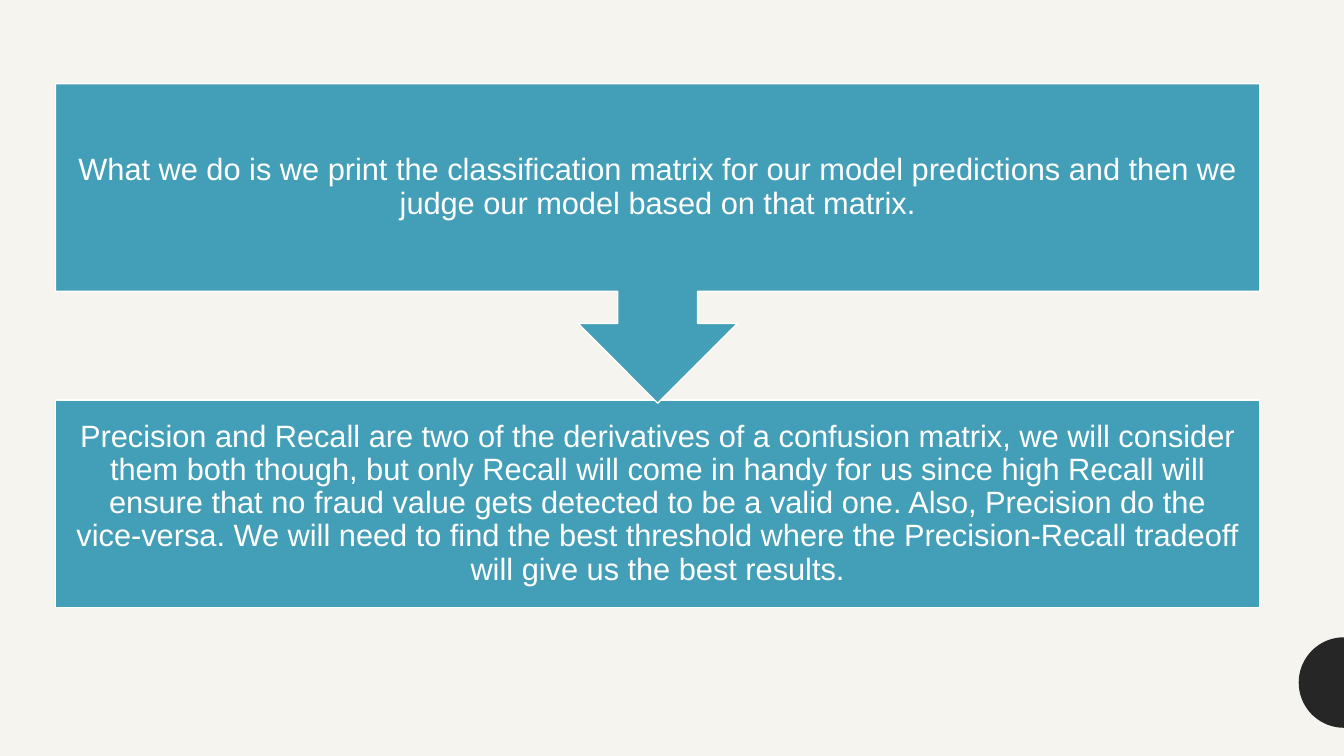
from dataclasses import dataclass
from math import cos, pi, sin

from pptx import Presentation
from pptx.dml.color import RGBColor
from pptx.enum.shapes import MSO_SHAPE as Shape
from pptx.enum.text import MSO_ANCHOR as Anchor, PP_ALIGN as Align
from pptx.util import Cm, Pt

SLIDE_WIDTH, SLIDE_HEIGHT = 33.87, 19.05
LEFT, WIDTH, BOX_HEIGHT = 1.4, 30.35, 5.23
TOP_STEP, BOTTOM_STEP, CALLOUT_HEIGHT = 2.11, 10.08, 8.05

MATRIX_TEXT = (
    "What we do is we print the classification matrix for our model predictions "
    "and then we judge our model based on that matrix."
)
RECALL_TEXT = (
    "Precision and Recall are two of the derivatives of a confusion matrix, we will "
    "consider them both though, but only Recall will come in handy for us since high "
    "Recall will ensure that no fraud value gets detected to be a valid one. Also, "
    "Precision do the vice-versa. We will need to find the best threshold where the "
    "Precision-Recall tradeoff will give us the best results."
)


@dataclass(frozen=True)
class Theme:
    background: RGBColor = RGBColor.from_string("F6F4EF")
    step: RGBColor = RGBColor.from_string("439EB7")
    light: RGBColor = RGBColor.from_string("FFFFFF")
    dark: RGBColor = RGBColor.from_string("262626")
    font: str = "Arial"
    body: Pt = Pt(22)
    outline: Pt = Pt(1)
    inset: Cm = Cm(0.43)


class SlideBuilder:
    def __init__(self, slide, theme):
        self.slide = slide
        self.theme = theme
        slide.background.fill.solid()
        slide.background.fill.fore_color.rgb = theme.background

    def fill(self, shape, color):
        shape.shadow.inherit = False
        shape.fill.solid()
        shape.fill.fore_color.rgb = color

    def half_disc(self, center_x, center_y, radius, segments=48):
        angles = [pi / 2 + pi * i / segments for i in range(segments + 1)]
        points = [
            (Cm(center_x + radius * cos(a)), Cm(center_y - radius * sin(a)))
            for a in angles
        ]
        builder = self.slide.shapes.build_freeform(*points[0])
        builder.add_line_segments(points[1:], close=True)
        shape = builder.convert_to_shape()
        self.fill(shape, self.theme.dark)
        shape.line.fill.background()

    def step(self, kind, top, height, rotation=0):
        shape = self.slide.shapes.add_shape(
            kind, Cm(LEFT), Cm(top), Cm(WIDTH), Cm(height)
        )
        shape.rotation = rotation
        self.fill(shape, self.theme.step)
        shape.line.color.rgb = self.theme.light
        shape.line.width = self.theme.outline
        return shape

    def text_box(self, top, height):
        return self.slide.shapes.add_textbox(Cm(LEFT), Cm(top), Cm(WIDTH), Cm(height))

    def set_text(self, shape, text):
        frame = shape.text_frame
        frame.word_wrap = True
        frame.vertical_anchor = Anchor.MIDDLE
        frame.margin_left = frame.margin_right = self.theme.inset
        frame.margin_top = frame.margin_bottom = self.theme.inset
        paragraph = frame.paragraphs[0]
        paragraph.text = text
        paragraph.alignment = Align.CENTER
        paragraph.line_spacing = 0.9
        paragraph.font.name = self.theme.font
        paragraph.font.size = self.theme.body
        paragraph.font.color.rgb = self.theme.light


def main():
    presentation = Presentation()
    presentation.slide_width = Cm(SLIDE_WIDTH)
    presentation.slide_height = Cm(SLIDE_HEIGHT)
    slide = presentation.slides.add_slide(presentation.slide_layouts[6])
    builder = SlideBuilder(slide, Theme())

    builder.half_disc(SLIDE_WIDTH, 17.2, 1.14)
    recall_step = builder.step(Shape.RECTANGLE, BOTTOM_STEP, BOX_HEIGHT)
    builder.set_text(recall_step, RECALL_TEXT)
    builder.step(Shape.UP_ARROW_CALLOUT, TOP_STEP, CALLOUT_HEIGHT, rotation=180)
    builder.set_text(builder.text_box(TOP_STEP, BOX_HEIGHT), MATRIX_TEXT)

    presentation.save("out.pptx")


if __name__ == "__main__":
    main()
